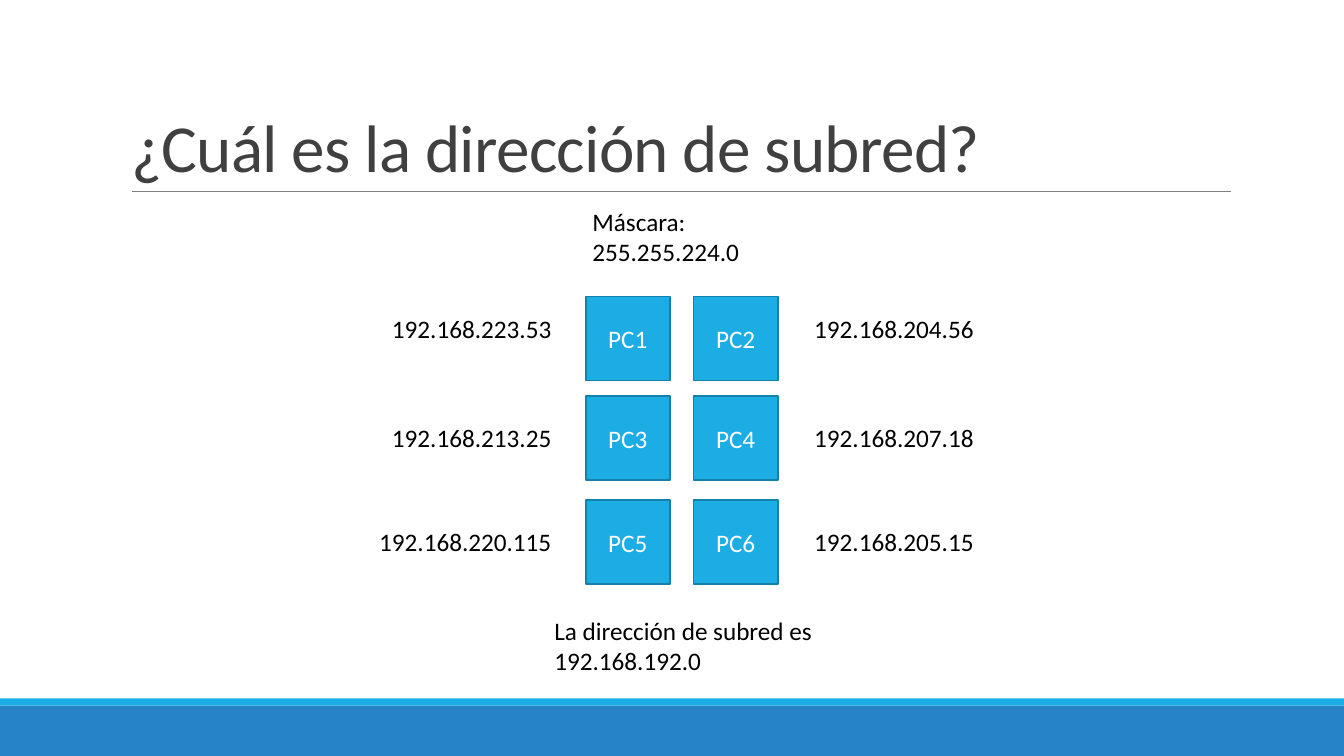
from typing import NamedTuple

from lxml.etree import SubElement
from pptx import Presentation
from pptx.dml.color import RGBColor
from pptx.enum.shapes import MSO_CONNECTOR, MSO_SHAPE
from pptx.enum.text import MSO_ANCHOR, MSO_AUTO_SIZE, PP_ALIGN
from pptx.oxml.ns import qn
from pptx.util import Cm, Pt

COLORS = {
    "band": "2683C6", "accent": "1CADE4", "border": "1580A9", "rule": "808080",
    "title": "404040", "text": "000000", "white": "FFFFFF",
}
WIDTH, HEIGHT = 33.87, 19.05
PC_SIZE = 2.12
LABEL_SIZE = (6.15, 1.03)


class Column(NamedTuple):
    """Horizontal places of a column of computers and its addresses."""
    pc_left: float
    label_left: float
    align: PP_ALIGN


class Row(NamedTuple):
    """Vertical places of a row and its addresses, left to right."""
    pc_top: float
    label_top: float
    addresses: tuple[str, str]


COLUMNS = (
    Column(14.76, 8.0, PP_ALIGN.RIGHT),
    Column(17.48, 20.27, PP_ALIGN.LEFT),
)
ROWS = (
    Row(7.47, 7.77, ("192.168.223.53", "192.168.204.56")),
    Row(9.98, 10.52, ("192.168.213.25", "192.168.207.18")),
    Row(12.6, 13.13, ("192.168.220.115", "192.168.205.15")),
)


def rgb(name: str) -> RGBColor:
    """Return the named colour."""
    return RGBColor.from_string(COLORS[name])


def write(shape, text: str, color: str = "text", size: int = 18,
          align: PP_ALIGN = PP_ALIGN.LEFT, anchor: MSO_ANCHOR = MSO_ANCHOR.TOP) -> None:
    """Fill a shape with text, one paragraph per line."""
    frame = shape.text_frame
    frame.text = text
    frame_format = {"word_wrap": True, "auto_size": MSO_AUTO_SIZE.NONE,
                    "vertical_anchor": anchor}
    for name, value in frame_format.items():
        setattr(frame, name, value)
    for paragraph in frame.paragraphs:
        paragraph.alignment = align
        font = paragraph.runs[0].font
        for name, value in {"name": "Calibri", "size": Pt(size)}.items():
            setattr(font, name, value)
        font.color.rgb = rgb(color)


def add_box(slide, left: float, top: float, width: float, height: float,
            fill: str, border: str = ""):
    """Add a flat rectangle, with a border if one is named."""
    shape = slide.shapes.add_shape(
        MSO_SHAPE.RECTANGLE, Cm(left), Cm(top), Cm(width), Cm(height))
    shape.shadow.inherit = False
    shape.fill.solid()
    shape.fill.fore_color.rgb = rgb(fill)
    if border:
        shape.line.color.rgb = rgb(border)
        shape.line.width = Pt(1.25)
    else:
        shape.line.fill.background()
    return shape


def add_label(slide, text: str, left: float, top: float, width: float,
              height: float, align: PP_ALIGN = PP_ALIGN.LEFT) -> None:
    """Add a wrapping text box."""
    box = slide.shapes.add_textbox(Cm(left), Cm(top), Cm(width), Cm(height))
    write(box, text, align=align)


def add_title(slide, text: str) -> None:
    """Place the title and the thin rule below it."""
    title = slide.shapes.title
    place = {"left": 3.05, "top": 0.79, "width": 27.94, "height": 4.04}
    for name, value in place.items():
        setattr(title, name, Cm(value))
    write(title, text, "title", 48, anchor=MSO_ANCHOR.BOTTOM)
    paragraph = title.text_frame.paragraphs[0]
    paragraph.line_spacing = 0.85
    paragraph.runs[0].font._element.set("spc", "-50")

    rule = slide.shapes.add_connector(
        MSO_CONNECTOR.STRAIGHT, Cm(3.33), Cm(4.83), Cm(31.01), Cm(4.83))
    rule.line.color.rgb = rgb("rule")
    rule.line.width = Pt(0.5)
    SubElement(rule._element.spPr, qn("a:effectLst"))


def add_computers(slide) -> None:
    """Draw the grid of computers, each with its address."""
    for row_index, row in enumerate(ROWS):
        for column_index, column in enumerate(COLUMNS):
            number = row_index * len(COLUMNS) + column_index + 1
            computer = add_box(slide, column.pc_left, row.pc_top,
                               PC_SIZE, PC_SIZE, "accent", "border")
            write(computer, f"PC{number}", "white",
                  align=PP_ALIGN.CENTER, anchor=MSO_ANCHOR.MIDDLE)
            add_label(slide, row.addresses[column_index], column.label_left,
                      row.label_top, *LABEL_SIZE, column.align)


def main() -> None:
    """Build and save the slide."""
    presentation = Presentation()
    presentation.slide_width, presentation.slide_height = Cm(WIDTH), Cm(HEIGHT)
    slide = presentation.slides.add_slide(presentation.slide_layouts[5])
    add_box(slide, 0, 17.78, WIDTH, 1.27, "band")
    add_box(slide, 0, 17.6, WIDTH, 0.18, "accent")
    add_title(slide, "¿Cuál es la dirección de subred?")
    add_computers(slide)
    add_label(slide, "Máscara: 255.255.224.0", 14.68, 5.08, 6.15, 1.8)
    add_label(slide, "La dirección de subred es\n192.168.192.0", 13.72, 15.37, 7.52, 1.8)
    presentation.save("out.pptx")


main()
